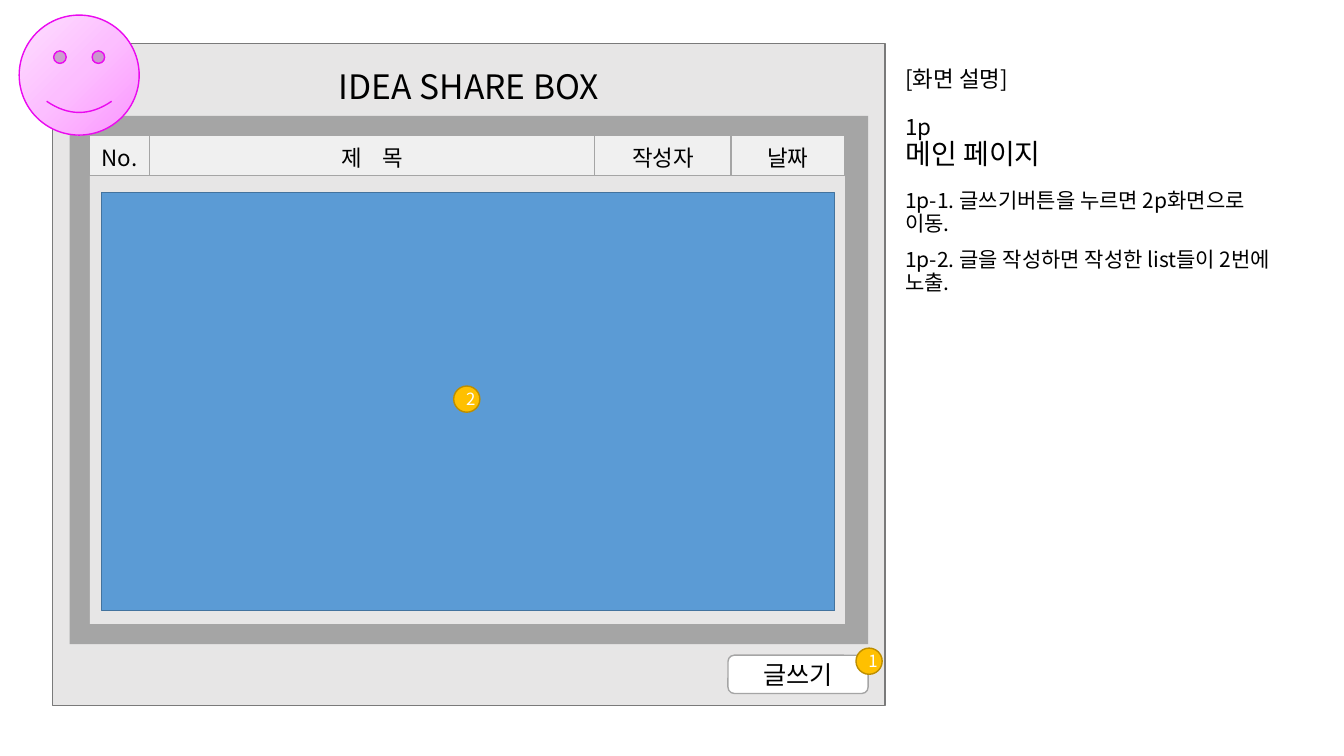
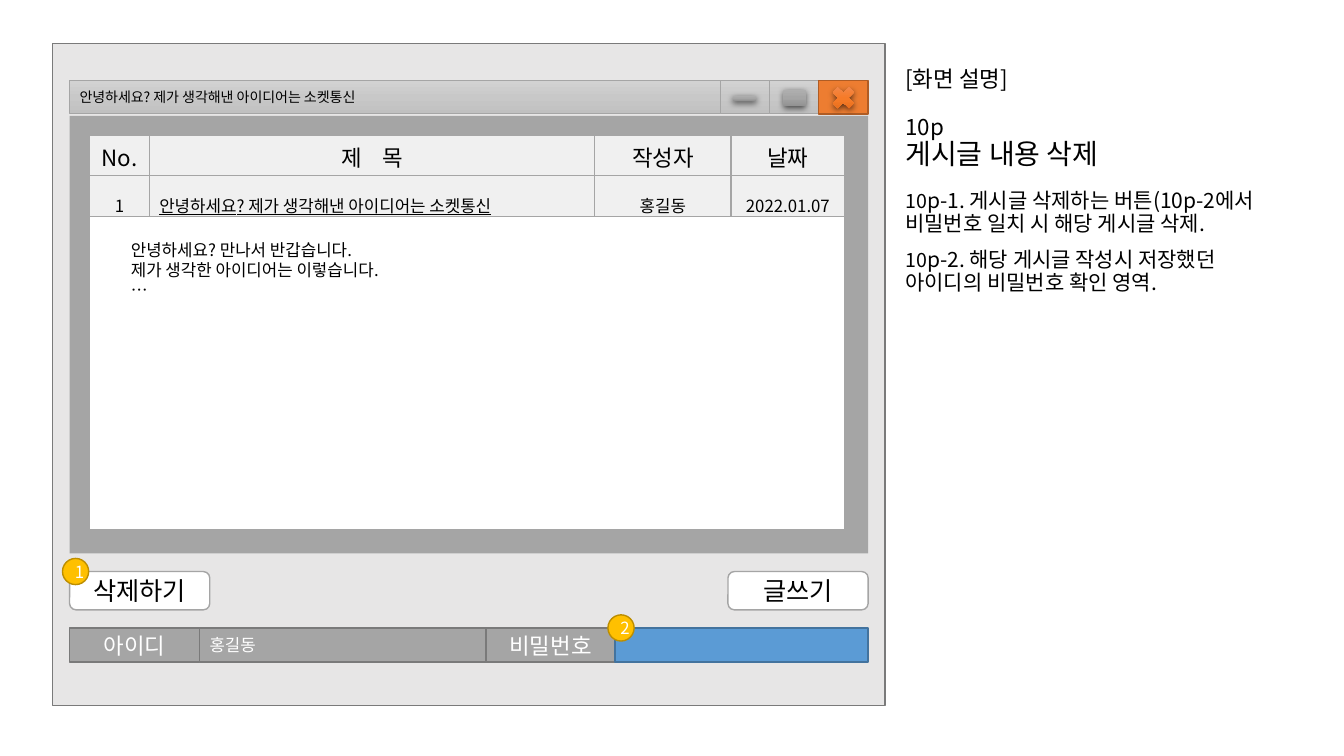
"""Build two screen-design slides for an idea sharing board."""
import copy
import pptx
import pptx.util
import pptx.dml.color
import pptx.enum.shapes
import pptx.enum.text
import pptx.oxml
import pptx.oxml.ns
import lxml.etree

PX = 9144
FONT = "Noto Sans CJK KR"
COLORS = {
    "ink": "000000", "white": "FFFFFF", "frame": "E7E6E6", "frame_line": "7A7A7A",
    "gray": "A5A5A5", "cell": "F0F0F0", "blue": "5B9BD5", "blue_line": "43739E",
    "gold": "FFC000", "gold_line": "BD8E00", "orange": "ED7D31",
    "orange_line": "AF5C24", "pink_line": "EA0AEF",
}
GRADIENTS = {
    "bar": (["D2D2D2", "C8C8C8", "C0C0C0"], 270),
    "icon": (["AFAFAF", "A5A5A5", "939393"], 270),
    "cross": (["F18C57", "F67B28", "E56C19"], 270),
    "pink": (["FB95FF", "FCBEFF", "FEDFFF"], 135),
}
SHADOW = (
    f'<a:outerShdw {pptx.oxml.ns.nsdecls("a")} blurRad="57150" dist="19050" dir="5400000" '
    'algn="ctr" rotWithShape="0"><a:srgbClr val="000000"><a:alpha val="63000"/>'
    '</a:srgbClr></a:outerShdw>'
)
SHAPE = pptx.enum.shapes.MSO_SHAPE
ALIGN = pptx.enum.text.PP_ALIGN
ANCHOR = pptx.enum.text.MSO_ANCHOR
qn = pptx.oxml.ns.qn


def write(frame, lines, size, color="ink", align=ALIGN.CENTER, spacing=None, before=0):
    """Fill a text frame, one paragraph per line; a line is a list of (text, size) runs."""
    frame.word_wrap = True
    for index, line in enumerate(lines):
        para = frame.paragraphs[0] if index == 0 else frame.add_paragraph()
        para.alignment = align
        para.space_before = pptx.util.Pt(before)
        if spacing:
            para.line_spacing = spacing
        for text, run_size in [(line, size)] if isinstance(line, str) else line:
            span = para.add_run()
            span.text = text
            span.font.size = pptx.util.Pt(run_size)
            span.font.name = FONT
            span.font.color.rgb = pptx.dml.color.RGBColor.from_string(COLORS[color])
            east = lxml.etree.SubElement(span.font._element, qn("a:ea"))
            east.set("typeface", FONT)


def box(shapes, kind, place, fill, line=None, width=1, text=None, size=12, color="ink",
        align=ALIGN.CENTER):
    """Add a preset shape with a plain or gradient fill and optional text."""
    shape = shapes.add_shape(kind, *[value * PX for value in place])
    shape.shadow.inherit = False
    if fill in GRADIENTS:
        stops, angle = GRADIENTS[fill]
        shape.fill.gradient()
        shape.fill.gradient_angle = angle
        stop_list = shape._element.spPr.find(".//" + qn("a:gsLst"))
        stop_list.insert(1, copy.deepcopy(stop_list[0]))
        stop_list[1].set("pos", "50000")
        for stop, value in zip(shape.fill.gradient_stops, stops):
            stop.color.rgb = pptx.dml.color.RGBColor.from_string(value)
    else:
        shape.fill.solid()
        shape.fill.fore_color.rgb = pptx.dml.color.RGBColor.from_string(COLORS[fill])
    if line:
        shape.line.color.rgb = pptx.dml.color.RGBColor.from_string(COLORS[line])
        shape.line.width = pptx.util.Pt(width)
    else:
        shape.line.fill.background()
    if text:
        shape.text_frame.vertical_anchor = ANCHOR.MIDDLE
        write(shape.text_frame, [text], size, color, align)
    return shape


deck = pptx.Presentation()
deck.slide_width = 1333 * PX
deck.slide_height = 750 * PX

HEADER = ["No.", "제 목", "작성자", "날짜"]
POST_TITLE = "안녕하세요? 제가 생각해낸 아이디어는 소켓통신"
POST = ["1", POST_TITLE, "홍길동", "2022.01.07"]
PAGES = [
    {
        "number": "1p", "name": "메인 페이지", "panel": 524, "inner": 445,
        "buttons": [(722, 650, "글쓰기")],
        "rows": [(134, 40, HEADER, 16, None)],
        "notes": ["1p-1. 글쓰기버튼을 누르면 2p화면으로 이동.",
                  "1p-2. 글을 작성하면 작성한 list들이 2번에 노출."],
        "markers": [(849, 643), (450, 383)],
    },
    {
        "number": "10p", "name": "게시글 내용 삭제", "panel": 434, "inner": 352,
        "buttons": [(722, 567, "글쓰기"), (69, 567, "삭제하기")],
        "rows": [(134, 40, HEADER, 16, None), (174, 42, POST, 12, 1.5)],
        "notes": [[("10", 14), ("p-1. 게시글 삭제하는 버튼(10p-2에서 비밀번호 일치 시 해당 게시글 삭제.", 15)],
                  [("10", 14), ("p-2. 해당 게시글 작성시 저장했던 아이디의 비밀번호 확인 영역.", 15)]],
        "markers": [(62, 554), (603, 610)],
    },
]

for page in PAGES:
    slide = deck.slides.add_slide(deck.slide_layouts[5])
    shapes = slide.shapes

    title = shapes.title
    title.left, title.top, title.width, title.height = [v * PX for v in (888, 43, 390, 131)]
    title.text_frame.vertical_anchor = ANCHOR.BOTTOM
    title.text_frame.auto_size = pptx.enum.text.MSO_AUTO_SIZE.NONE
    write(title.text_frame, ["[화면 설명]", page["number"], [(page["name"], 20)]], 16,
          align=ALIGN.LEFT, spacing=0.9)
    title.text_frame.paragraphs[0].space_after = pptx.util.Pt(17)

    notes = shapes.add_textbox(*[v * PX for v in (888, 184, 390, 516)])
    write(notes.text_frame, page["notes"], 15, align=ALIGN.LEFT, spacing=0.9, before=10)

    box(shapes, SHAPE.RECTANGLE, (52, 43, 826, 657), "frame", "frame_line")
    box(shapes, SHAPE.RECTANGLE, (69, 115, 792, page["panel"]), "gray")
    box(shapes, SHAPE.RECTANGLE, (89, 174, 749, page["inner"]), "frame")
    for left, top, label in page["buttons"]:
        box(shapes, SHAPE.ROUNDED_RECTANGLE, (left, top, 139, 38), "white", "gray",
            text=label, size=18)

    for top, height, labels, size, spacing in page["rows"]:
        table = shapes.add_table(1, 4, 89 * PX, top * PX, 749 * PX, height * PX).table
        table.rows[0].height = height * PX
        for index, (width, label) in enumerate(zip((59, 442, 135, 113), labels)):
            table.columns[index].width = width * PX
            cell = table.cell(0, index)
            is_post_title = label == POST_TITLE
            line = [("제 ", size), ("목", size)] if label == "제 목" else label
            write(cell.text_frame, [line], size, spacing=spacing,
                  align=ALIGN.LEFT if is_post_title else ALIGN.CENTER)
            first_span = cell.text_frame.paragraphs[0].runs[0]
            if is_post_title:
                first_span.font.underline = True
            if label == "제 목":
                first_span.font._element.set("spc", "540")
            properties = cell._tc.get_or_add_tcPr()
            for side in ("lnL", "lnR", "lnT", "lnB"):
                properties.append(pptx.oxml.parse_xml(
                    f'<a:{side} {pptx.oxml.ns.nsdecls("a")} w="12700"><a:solidFill>'
                    f'<a:srgbClr val="{COLORS["gray"]}"/></a:solidFill></a:{side}>'))
            cell.fill.solid()
            cell.fill.fore_color.rgb = pptx.dml.color.RGBColor.from_string(COLORS["cell"])

    if page["number"] == "1p":
        heading = shapes.add_textbox(*[v * PX for v in (147, 63, 636, 44)])
        heading.text_frame.vertical_anchor = ANCHOR.MIDDLE
        write(heading.text_frame, ["IDEA SHARE BOX"], 24)
        box(shapes, SHAPE.RECTANGLE, (101, 191, 727, 415), "blue", "blue_line")
        box(shapes, SHAPE.SMILEY_FACE, (19, 15, 119, 119), "pink", "pink_line")
    else:
        box(shapes, SHAPE.RECTANGLE, (89, 215, 749, 311), "white", "gray")
        post = shapes.add_textbox(*[v * PX for v in (120, 236, 686, 63)])
        post.text_frame.vertical_anchor = ANCHOR.MIDDLE
        write(post.text_frame, ["안녕하세요? 만나서 반갑습니다.",
                                "제가 생각한 아이디어는 이렇습니다.", "…"], 12, align=ALIGN.LEFT)

        box(shapes, SHAPE.RECTANGLE, (69, 80, 645, 33), "bar", "gray", 0.5,
            POST_TITLE, 10, align=ALIGN.LEFT)
        for left in (714, 763):
            box(shapes, SHAPE.RECTANGLE, (left, 80, 49, 33), "bar", "gray", 0.5)
        box(shapes, SHAPE.RECTANGLE, (812, 80, 49, 33), "orange", "orange_line")
        for kind, place, fill in [
            (SHAPE.RECTANGLE, (727, 95, 23, 5), "icon"),
            (SHAPE.RECTANGLE, (777, 89, 22, 16), "icon"),
            (SHAPE.MATH_MULTIPLY, (821, 82, 31, 30), "cross"),
        ]:
            icon = box(shapes, kind, place, fill)
            effects = icon._element.spPr.find(qn("a:effectLst"))
            effects.append(pptx.oxml.parse_xml(SHADOW))

        login = shapes.add_group_shape()
        left = 69
        for width, fill, line, label, size, align in [
            (129, "gray", "frame_line", "아이디", 16, ALIGN.CENTER),
            (284, "gray", "frame_line", "홍길동", 12, ALIGN.LEFT),
            (128, "gray", "frame_line", "비밀번호", 16, ALIGN.CENTER),
            (251, "blue", "blue_line", None, 12, ALIGN.LEFT),
        ]:
            box(login.shapes, SHAPE.RECTANGLE, (left, 623, width, 34), fill, line,
                text=label, size=size, color="white", align=align)
            left += width

    for number, (left, top) in enumerate(page["markers"], 1):
        box(shapes, SHAPE.FLOWCHART_CONNECTOR, (left, top, 26, 26), "gold", "gold_line",
            text=str(number), size=12, color="white")

deck.save("out.pptx")
